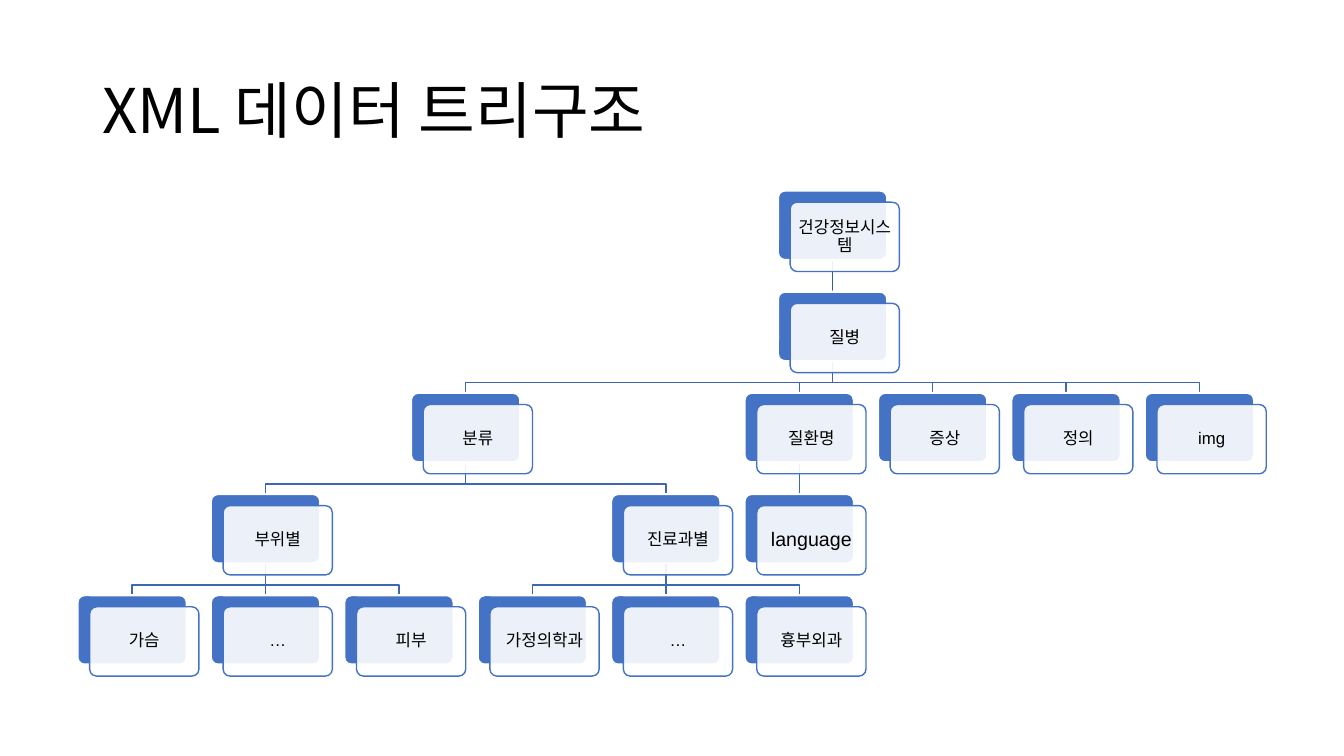
from dataclasses import dataclass
from lxml.etree import SubElement
from pptx import Presentation
from pptx.dml.color import RGBColor as RGB
from pptx.enum.shapes import MSO_CONNECTOR as Link, MSO_SHAPE as Kind
from pptx.enum.text import MSO_ANCHOR as Anchor, PP_ALIGN as Align
from pptx.oxml.ns import qn
from pptx.util import Pt


@dataclass(frozen=True)
class Theme:
    """Colours, fonts and type sizes."""
    blue: RGB = RGB(0x44, 0x72, 0xC4)
    white: RGB = RGB(0xFF, 0xFF, 0xFF)
    black: RGB = RGB(0, 0, 0)
    wire: RGB = RGB(0x3E, 0x67, 0xB2)
    trunk: RGB = RGB(0x36, 0x5B, 0x9D)
    latin: str = "Arial"
    hangul: str = "Noto Sans CJK KR"
    head: int = 44
    body: int = 12
    large: int = 14


theme = Theme()


def write(frame, text, size=theme.body, font=theme.latin, align=Align.CENTER, pad=(3.6, 3.6)):
    """Fill a text frame with one formatted paragraph."""
    frame.word_wrap = True
    frame.vertical_anchor = Anchor.MIDDLE
    frame.margin_left = frame.margin_right = Pt(pad[0])
    frame.margin_top = frame.margin_bottom = Pt(pad[1])
    para = frame.paragraphs[0]
    para.alignment, para.line_spacing = align, 0.9
    run = para.add_run()
    run.text = text
    run.font.size, run.font.name = Pt(size), font
    run.font.color.rgb = theme.black
    SubElement(run.font._element, qn("a:ea"), typeface=theme.hangul)


def card(left, top, fill, line, width):
    """Add one rounded card and return it."""
    box = shapes.add_shape(Kind.ROUNDED_RECTANGLE, Pt(left), Pt(top), Pt(CARD_W), Pt(CARD_H))
    box.adjustments[0] = 0.1
    box.shadow.inherit = False
    box.fill.solid()
    box.fill.fore_color.rgb = fill
    box.line.color.rgb, box.line.width = line, Pt(width)
    return box


# Each node: label, depth and, for a leaf, its column; parents before children
TREE = [
    ("건강정보시스템", 0, None),
    ("질병", 1, None),
    ("분류", 2, None),
    ("부위별", 3, None), ("가슴", 4, 0), ("…", 4, 1), ("피부", 4, 2),
    ("진료과별", 3, None), ("가정의학과", 4, 3), ("…", 4, 4), ("흉부외과", 4, 5),
    ("질환명", 2, None), ("language", 3, 5),
    ("증상", 2, 6),
    ("정의", 2, 7),
    ("img", 2, 8),
]
LEFT, TOP = 55.4, 136.2
STEP_X, STEP_Y = 95.3, 72.25
CARD_W, CARD_H = 78, 49.5
SHIFT_X, SHIFT_Y = 8.7, 8.25
BEND = 15.4

deck = Presentation()
deck.slide_width, deck.slide_height = Pt(960), Pt(540)
slide = deck.slides.add_slide(deck.slide_layouts[6])
shapes = slide.shapes

title = shapes.add_textbox(Pt(66), Pt(28.75), Pt(828), Pt(104.4))
write(title.text_frame, "XML 데이터 트리구조", size=theme.head, font=theme.hangul,
      align=Align.LEFT, pad=(7.2, 3.6))

# Link every node to the nearest earlier node one level up
kids = {i: [] for i in range(len(TREE))}
last = {}
for i, (label, depth, leaf) in enumerate(TREE):
    last[depth] = i
    if depth:
        kids[last[depth - 1]].append(i)

# A parent sits midway between its first and last child
col = {}
for i in reversed(range(len(TREE))):
    ends = kids[i]
    col[i] = (col[ends[0]] + col[ends[-1]]) / 2 if ends else TREE[i][2]

spots = [(LEFT + col[i] * STEP_X, TOP + node[1] * STEP_Y) for i, node in enumerate(TREE)]

# Connecting lines, behind the cards
for i in reversed(range(len(TREE))):
    start, top = spots[i][0] + CARD_W / 2, spots[i][1] + CARD_H
    for kid in reversed(kids[i]):
        end, base = spots[kid][0] + CARD_W / 2, spots[kid][1]
        if col[kid] == col[i]:
            wire = shapes.add_connector(Link.STRAIGHT, Pt(start), Pt(top), Pt(end), Pt(base))
            SubElement(wire._element.spPr, qn("a:effectLst"))
        else:
            path = shapes.build_freeform(Pt(start), Pt(top))
            path.add_line_segments([(Pt(start), Pt(top + BEND)), (Pt(end), Pt(top + BEND)),
                                    (Pt(end), Pt(base))], close=False)
            wire = path.convert_to_shape()
            wire.fill.background()
            wire.shadow.inherit = False
        wire.line.color.rgb = theme.wire if i else theme.trunk
        wire.line.width = Pt(1)

# A blue card with a translucent labelled card over it
for (label, depth, leaf), (left, top) in zip(TREE, spots):
    card(left, top, theme.blue, theme.white, 1.5)
    front = card(left + SHIFT_X, top + SHIFT_Y, theme.white, theme.blue, 1)
    tint = front._element.spPr.find(qn("a:solidFill")).find(qn("a:srgbClr"))
    SubElement(tint, qn("a:alpha"), val="90000")
    write(front.text_frame, label, size=theme.large if label == "language" else theme.body)

deck.save("out.pptx")
